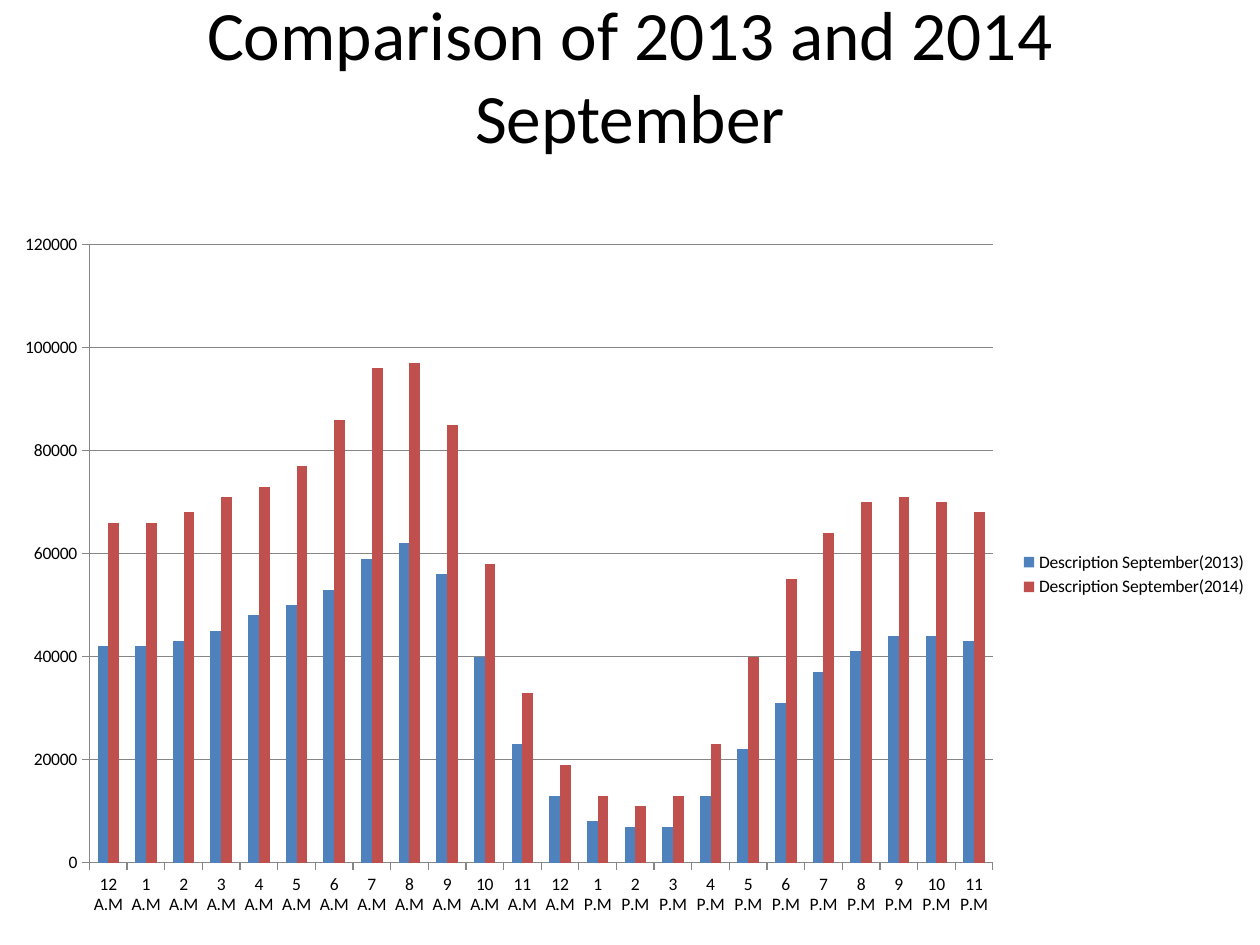
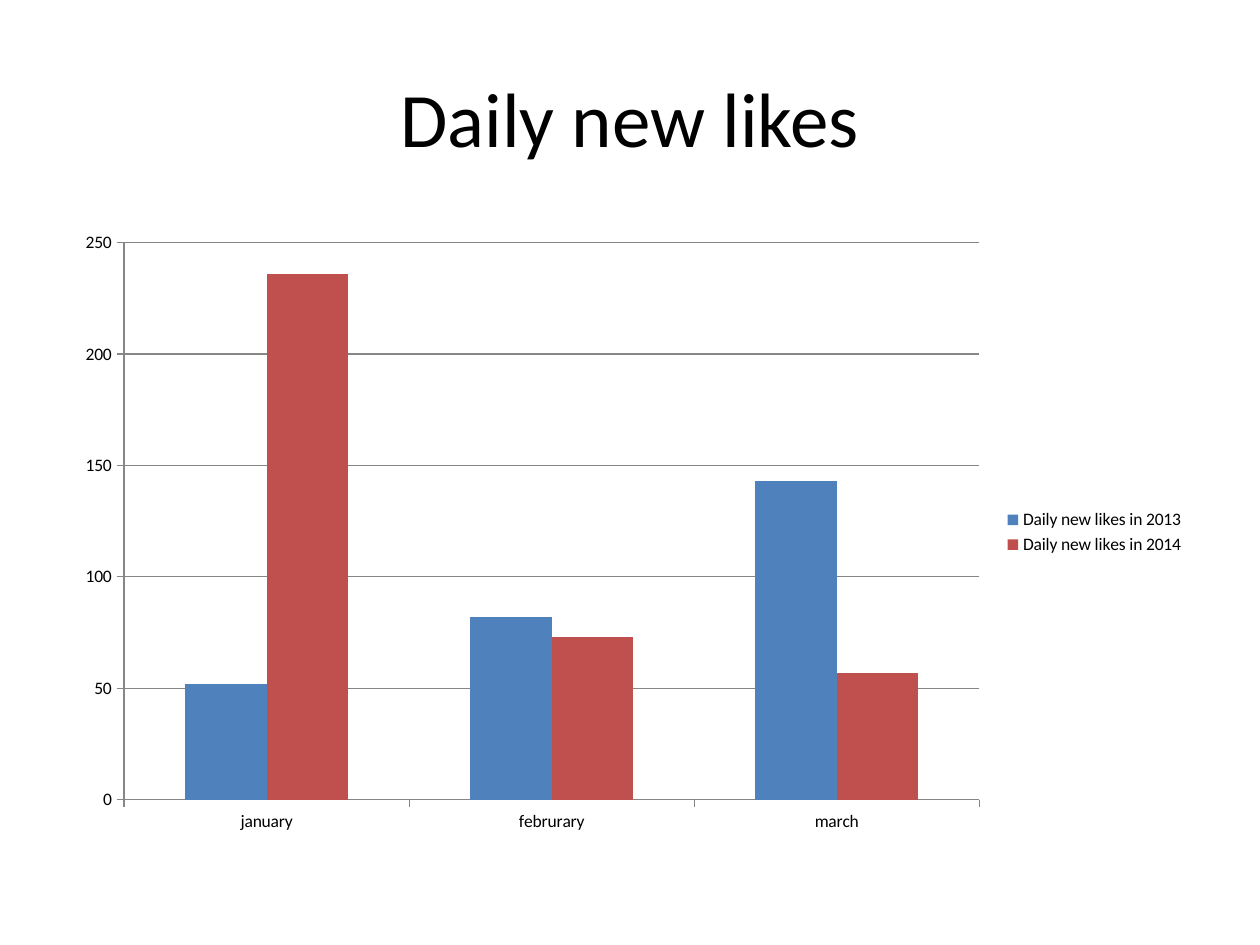
import pptx
import pptx.chart.data
import pptx.dml.color
import pptx.enum.chart
import pptx.enum.text
import pptx.util

Inches = pptx.util.Inches
Pt = pptx.util.Pt
RGBColor = pptx.dml.color.RGBColor

BLACK = RGBColor(0x00, 0x00, 0x00)
GRAY = RGBColor(0x86, 0x86, 0x86)
BLUE = RGBColor(0x4F, 0x81, 0xBD)
RED = RGBColor(0xC0, 0x50, 0x4D)

HOURS = [f"{hour} {half}" for half in ("A.M", "P.M") for hour in (12, *range(1, 12))]
HOURS[12] = "12 A.M"
THOUSANDS_2013 = [42, 42, 43, 45, 48, 50, 53, 59, 62, 56, 40, 23,
                  13, 8, 7, 7, 13, 22, 31, 37, 41, 44, 44, 43]
THOUSANDS_2014 = [66, 66, 68, 71, 73, 77, 86, 96, 97, 85, 58, 33,
                  19, 13, 11, 13, 23, 40, 55, 64, 70, 71, 70, 68]


class Deck:
    font = "Calibri"
    series_colors = (BLUE, RED)

    def __init__(self):
        self.prs = pptx.Presentation()
        self.prs.slide_width = Inches(10)
        self.prs.slide_height = Inches(7.5)
        self.s = None

    def slide(self):
        self.s = self.prs.slides.add_slide(self.prs.slide_layouts[6])

    def title(self, text, size=44, bottom=0.05):
        sp = self.s.shapes.add_textbox(Inches(0.5), Inches(0.3), Inches(9), Inches(1.25))
        tf = sp.text_frame
        tf.word_wrap = True
        tf.margin_bottom = Inches(bottom)
        tf.vertical_anchor = pptx.enum.text.MSO_ANCHOR.MIDDLE
        p = tf.paragraphs[0]
        p.alignment = pptx.enum.text.PP_ALIGN.CENTER
        r = p.add_run()
        r.text = text
        r.font.size = Pt(size)
        r.font.name = self.font
        r.font.color.rgb = BLACK

    def line(self, fmt):
        fmt.line.color.rgb = GRAY
        fmt.line.width = Pt(0.75)

    def columns(self, left, top, width, height, categories, series, top_value, step):
        data = pptx.chart.data.CategoryChartData()
        data.categories = categories
        for name, values in series.items():
            data.add_series(name, values)
        chart = self.s.shapes.add_chart(
            pptx.enum.chart.XL_CHART_TYPE.COLUMN_CLUSTERED,
            Inches(left), Inches(top), Inches(width), Inches(height), data).chart
        chart.has_title = False
        chart.font.name = self.font
        chart.font.size = Pt(10)
        chart.font.color.rgb = BLACK
        chart.has_legend = True
        chart.legend.position = pptx.enum.chart.XL_LEGEND_POSITION.RIGHT
        chart.legend.include_in_layout = False
        plot = chart.plots[0]
        plot.gap_width = 150
        plot.vary_by_categories = False
        for ser, color in zip(plot.series, self.series_colors):
            ser.format.fill.solid()
            ser.format.fill.fore_color.rgb = color
        for axis in (chart.category_axis, chart.value_axis):
            axis.major_tick_mark = pptx.enum.chart.XL_TICK_MARK.OUTSIDE
            axis.minor_tick_mark = pptx.enum.chart.XL_TICK_MARK.NONE
            self.line(axis.format)
        axis = chart.value_axis
        axis.minimum_scale = 0
        axis.maximum_scale = top_value
        axis.major_unit = step
        axis.has_major_gridlines = True
        self.line(axis.major_gridlines.format)


def main():
    deck = Deck()

    deck.slide()
    deck.title("Comparison of 2013 and 2014 September", size=39.6, bottom=0.72)
    deck.columns(0, 1.75, 10, 5.62, HOURS, {
        "Description September(2013)": [1000 * v for v in THOUSANDS_2013],
        "Description September(2014)": [1000 * v for v in THOUSANDS_2014],
    }, top_value=120000, step=20000)

    deck.slide()
    deck.title("Daily new likes")
    deck.columns(0.5, 1.75, 9, 4.95, ["january", "februrary", "march"], {
        "Daily new likes in 2013": [52, 82, 143],
        "Daily new likes in 2014": [236, 73, 57],
    }, top_value=250, step=50)

    deck.prs.save("out.pptx")


if __name__ == "__main__":
    main()
